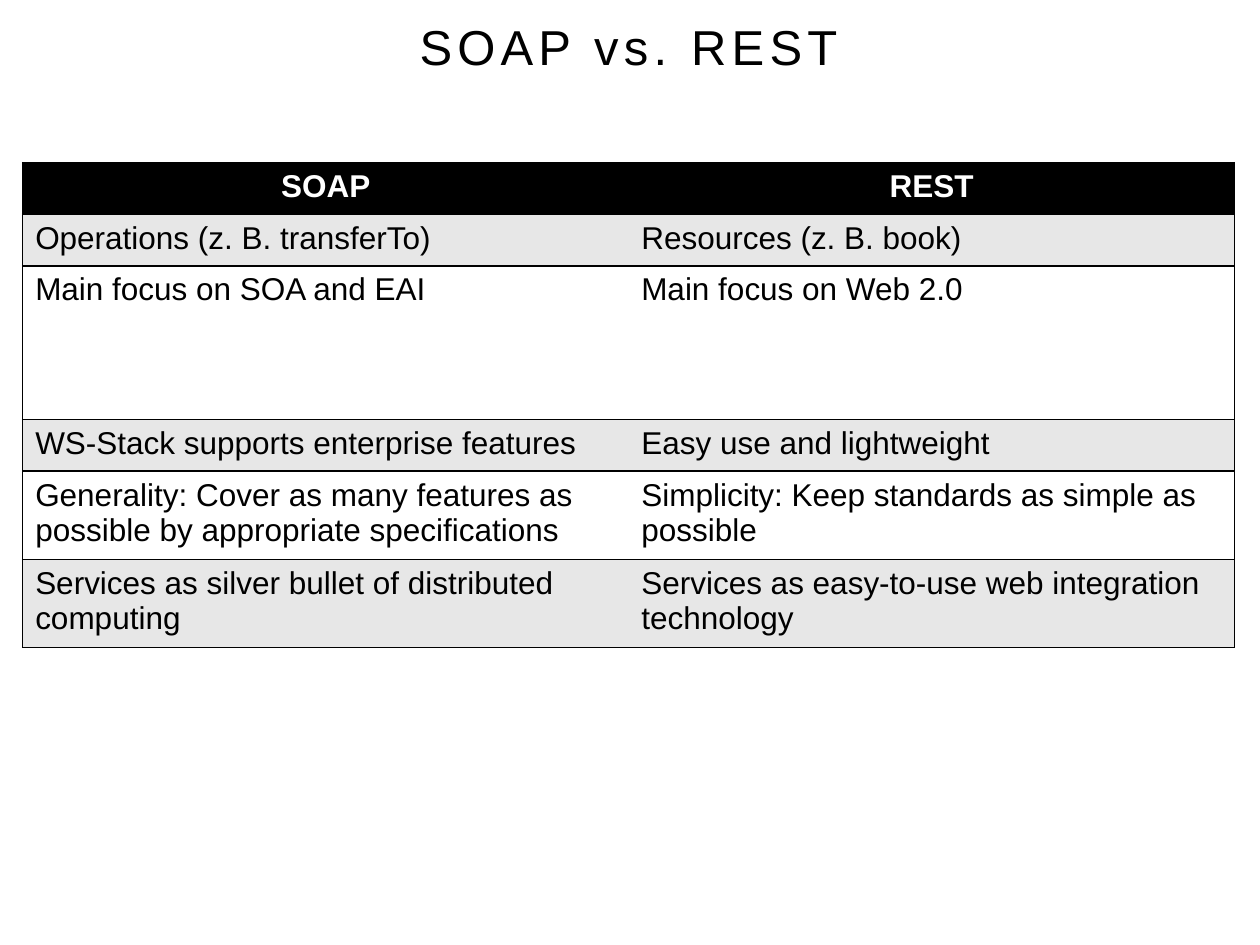
import dataclasses

import lxml.etree
import pptx
import pptx.dml.color
import pptx.enum.text
import pptx.oxml.ns
import pptx.util

Inches = pptx.util.Inches
Pt = pptx.util.Pt
qn = pptx.oxml.ns.qn
ALIGN = pptx.enum.text.PP_ALIGN


@dataclasses.dataclass(frozen=True)
class Theme:
    """Colours, font and type sizes of the slide."""
    font: str = "Arial"
    ink: str = "000000"
    paper: str = "FFFFFF"
    band: str = "E7E7E7"
    title_size: int = 28
    table_size: int = 18
    rule: int = 1


class SlideBuilder:
    """Adds styled elements to the current slide."""

    def __init__(self, slide, theme):
        """Keep the slide and its style."""
        self.slide = slide
        self.theme = theme

    def style(self, p, size, color, bold=False, align=ALIGN.LEFT):
        """Format one paragraph."""
        p.alignment = align
        p.font.name = self.theme.font
        p.font.size = Pt(size)
        p.font.bold = bold
        p.font.color.rgb = pptx.dml.color.RGBColor.from_string(color)

    def title(self, text, left, top, width, height):
        """Place the title with letter spacing."""
        sp = self.slide.shapes.title
        sp.left, sp.top, sp.width, sp.height = map(Inches, (left, top, width, height))
        tf = sp.text_frame
        tf.margin_left = tf.margin_right = tf.margin_top = tf.margin_bottom = 0
        tf.vertical_anchor = pptx.enum.text.MSO_ANCHOR.MIDDLE
        tf.word_wrap = True
        p = tf.paragraphs[0]
        r = p.add_run()
        r.text = text
        self.style(p, self.theme.title_size, self.theme.ink, align=ALIGN.CENTER)
        p.line_spacing = 0.87
        r.font._element.set("spc", "300")

    def borders(self, cell, sides):
        """Rule the named sides of a cell and clear the others."""
        tc_pr = cell._tc.get_or_add_tcPr()
        for i, side in enumerate("LRTB"):
            ln = lxml.etree.Element(qn(f"a:ln{side}"), w=str(Pt(self.theme.rule)))
            if side in sides:
                fill = lxml.etree.SubElement(ln, qn("a:solidFill"))
                lxml.etree.SubElement(fill, qn("a:srgbClr"), val=self.theme.ink)
            else:
                lxml.etree.SubElement(ln, qn("a:noFill"))
            tc_pr.insert(i, ln)

    def table(self, rows, heights, left, top, width):
        """Add a banded table whose first row is the header."""
        t = self.theme
        columns = len(rows[0])
        table = self.slide.shapes.add_table(
            len(rows), columns, Inches(left), Inches(top),
            Inches(width), Inches(sum(heights))).table
        for column in table.columns:
            column.width = Inches(width / columns)
        for i, (texts, height) in enumerate(zip(rows, heights)):
            table.rows[i].height = Inches(height)
            header = i == 0
            fill = t.ink if header else t.band if i % 2 else t.paper
            for j, text in enumerate(texts):
                cell = table.cell(i, j)
                cell.text = text
                cell.fill.solid()
                cell.fill.fore_color.rgb = pptx.dml.color.RGBColor.from_string(fill)
                self.style(cell.text_frame.paragraphs[0], t.table_size,
                           t.paper if header else t.ink, header,
                           ALIGN.CENTER if header else ALIGN.LEFT)
                outer = ("L" if j == 0 else "") + ("R" if j == columns - 1 else "")
                self.borders(cell, "TB" + outer)


def main():
    """Build and save the comparison slide."""
    prs = pptx.Presentation()
    prs.slide_width, prs.slide_height = Inches(10), Inches(7.5)
    s = SlideBuilder(prs.slides.add_slide(prs.slide_layouts[5]), Theme())
    s.title("SOAP vs. REST", 0.18, 0, 9.62, 0.79)
    rows = [
        ("SOAP", "REST"),
        ("Operations (z. B. transferTo)", "Resources (z. B. book)"),
        ("Main focus on SOA and EAI", "Main focus on Web 2.0"),
        ("WS-Stack supports enterprise features", "Easy use and lightweight"),
        ("Generality: Cover as many features as possible by appropriate specifications",
         "Simplicity: Keep standards as simple as possible"),
        ("Services as silver bullet of distributed computing",
         "Services as easy-to-use web integration technology"),
    ]
    s.table(rows, (0.41, 0.41, 1.22, 0.41, 0.7, 0.7), 0.18, 1.29, 9.62)
    prs.save("out.pptx")


main()
